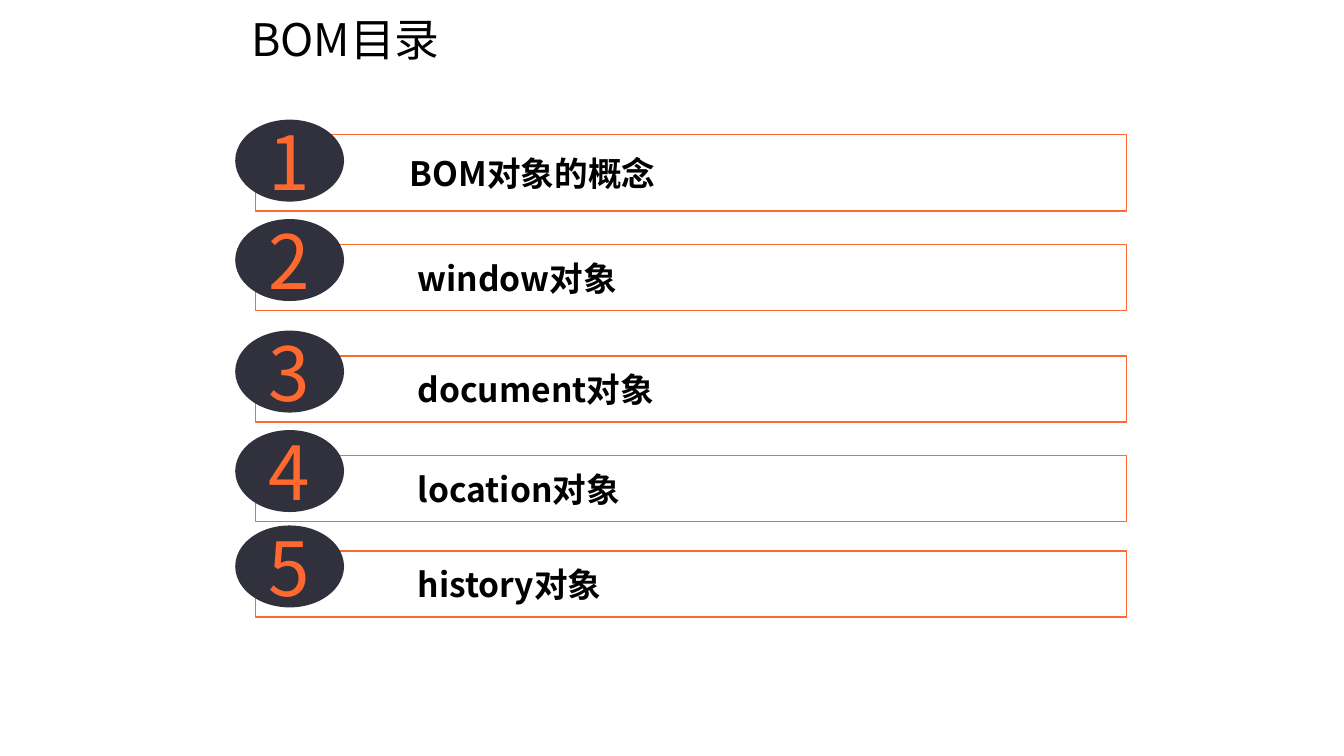
from lxml.etree import SubElement
from pptx import Presentation
from pptx.dml.color import RGBColor
from pptx.enum.shapes import MSO_SHAPE as SHAPE
from pptx.enum.text import MSO_ANCHOR as ANCHOR, MSO_AUTO_SIZE as AUTO, PP_ALIGN as ALIGN
from pptx.oxml.ns import qn
from pptx.util import Inches, Pt

TITLE = "BOM目录"
# text, bar top, bar height, badge top
TOPICS = [
    ("BOM对象的概念", 1.0, 0.57, 0.89),
    (" window对象", 1.82, 0.49, 1.63),
    (" document对象", 2.65, 0.49, 2.46),
    (" location对象", 3.39, 0.49, 3.2),
    (" history对象", 4.1, 0.49, 3.91),
]
COLORS = {"bar": "FFFFFF", "accent": "FF682F", "badge": "30313C", "text": "000000"}
FONT = "Noto Sans CJK SC"
SLIDE_W = 10
SLIDE_H = SLIDE_W * 9 / 16
BAR_LEFT, BAR_W = 1.9, 6.48
BADGE_LEFT, BADGE_W, BADGE_H = 1.75, 0.81, 0.61


def rgb(name):
    """Return a named colour."""
    return RGBColor.from_string(COLORS[name])


def write(sp, text, size, color, insets, bold=False):
    """Put one run into a shape and return its paragraph."""
    tf = sp.text_frame
    tf.word_wrap = True
    tf.margin_left, tf.margin_top, tf.margin_right, tf.margin_bottom = map(Inches, insets)
    p = tf.paragraphs[0]
    p.alignment = ALIGN.LEFT
    r = p.add_run()
    r.text = text
    r.font.size, r.font.bold, r.font.name = Pt(size), bold, FONT
    r.font.color.rgb = rgb(color)
    SubElement(r.font._element, qn("a:ea"), typeface=FONT)
    return p


def add_filled(s, kind, box, fill):
    """Add a flat filled shape with its text anchored in the middle."""
    sp = s.shapes.add_shape(kind, *map(Inches, box))
    sp.shadow.inherit = False
    sp.fill.solid()
    sp.fill.fore_color.rgb = rgb(fill)
    sp.text_frame.vertical_anchor = ANCHOR.MIDDLE
    return sp


def add_bar(s, text, top, height):
    """Add a translucent outlined bar with an indented topic."""
    sp = add_filled(s, SHAPE.RECTANGLE, (BAR_LEFT, top, BAR_W, height), "bar")
    color = sp.fill._xPr.find(qn("a:solidFill"))[0]
    SubElement(color, qn("a:alpha"), val="40000")
    sp.line.color.rgb = rgb("accent")
    sp.line.width = Pt(0.74)
    p = write(sp, text, 18, "text", (0.65, 0.08, 0.08, 0.08), bold=True)
    p.level = 1
    pPr = p._p.get_or_add_pPr()
    pPr.set("marL", str(Inches(0.5)))
    pPr.set("indent", "0")


def add_badge(s, number, top):
    """Add a dark ellipse holding the topic number."""
    sp = add_filled(s, SHAPE.OVAL, (BADGE_LEFT, top, BADGE_W, BADGE_H), "badge")
    sp.line.fill.background()
    p = write(sp, str(number), 40, "accent", (0.1, 0.05, 0.1, 0.05))
    p.alignment = ALIGN.CENTER


prs = Presentation()
prs.slide_width, prs.slide_height = Inches(SLIDE_W), Inches(SLIDE_H)
prs.element.find(qn("p:sldSz")).attrib.pop("type", None)
s = prs.slides.add_slide(prs.slide_layouts[6])

title = s.shapes.add_textbox(*map(Inches, (1.77, 0.04, 4.02, 0.5)))
write(title, TITLE, 24, "text", (0.1, 0.05, 0.1, 0.05))
title.text_frame.auto_size = AUTO.SHAPE_TO_FIT_TEXT

for number, (text, bar_top, bar_h, badge_top) in enumerate(TOPICS, 1):
    add_bar(s, text, bar_top, bar_h)
    add_badge(s, number, badge_top)

prs.save("out.pptx")
